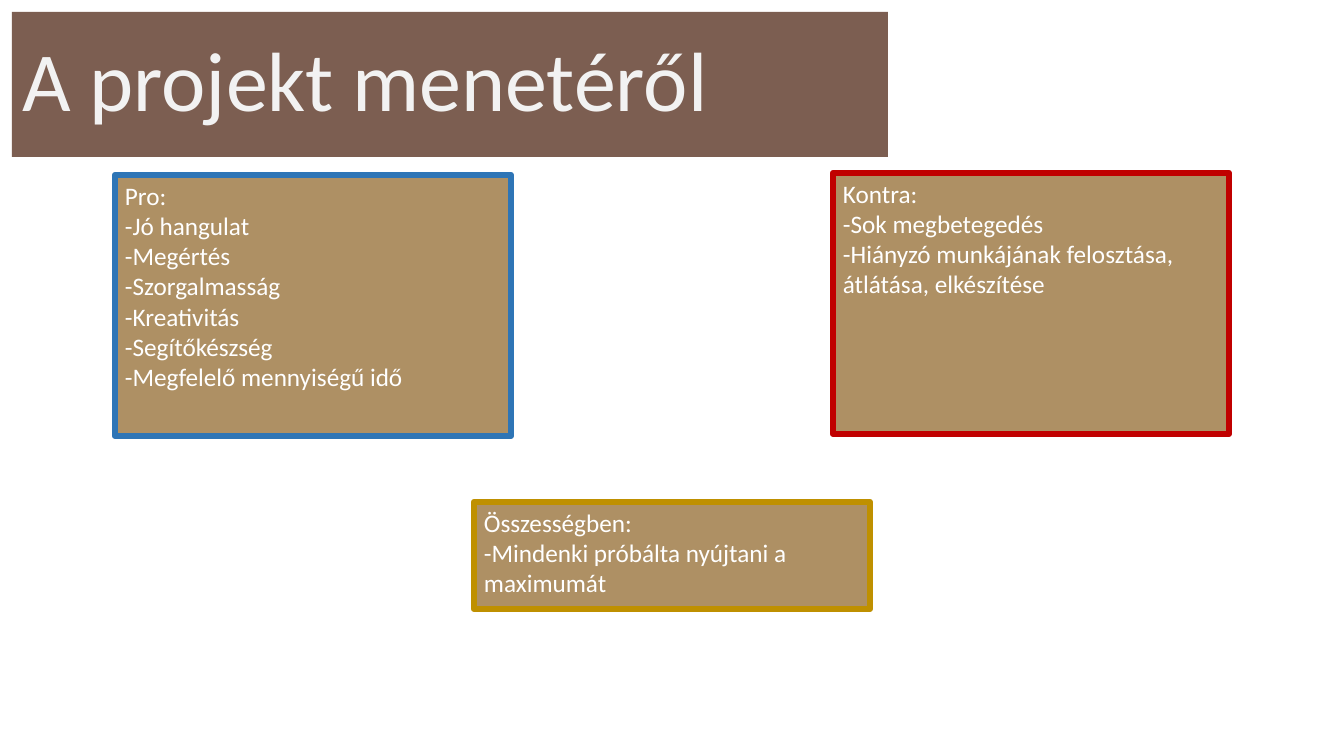
from lxml import etree
from pptx import Presentation
from pptx.dml.color import RGBColor
from pptx.enum.shapes import MSO_SHAPE
from pptx.enum.text import MSO_ANCHOR, MSO_AUTO_SIZE, PP_ALIGN
from pptx.oxml.ns import qn
from pptx.util import Pt

RECT = MSO_SHAPE.RECTANGLE
LEFT = PP_ALIGN.LEFT
TOP, MIDDLE = MSO_ANCHOR.TOP, MSO_ANCHOR.MIDDLE
NO_AUTOFIT = MSO_AUTO_SIZE.NONE
EMU_PER_PX = 914400 / 100.8
TITLE_ONLY = 5

COLORS = {
    "title_fill": "512917",
    "title_text": "F2F2F2",
    "box_fill": "936B31",
    "box_text": "FFFFFF",
    "pro": "2E75B6",
    "contra": "C00000",
    "summary": "BF9000",
}


def px(n):
    return round(n * EMU_PER_PX)


def rgb(name):
    return RGBColor.from_string(COLORS[name])


class SlideBuilder:
    font = "Calibri"
    opacity = 75

    def __init__(self, slide):
        self.slide = slide

    def fill(self, sp, color):
        sp.fill.solid()
        sp.fill.fore_color.rgb = rgb(color)
        clr = sp.element.spPr.find(qn("a:solidFill"))[0]
        etree.SubElement(clr, qn("a:alpha")).set("val", str(self.opacity * 1000))

    def add_text(self, sp, lines, size, color, anchor, spacing=1.0):
        tf = sp.text_frame
        tf.word_wrap = True
        tf.auto_size = NO_AUTOFIT
        tf.vertical_anchor = anchor
        for i, line in enumerate(lines):
            p = tf.add_paragraph() if i else tf.paragraphs[0]
            p.alignment = LEFT
            p.line_spacing = spacing
            r = p.add_run()
            r.text = line
            r.font.name = self.font
            r.font.size = Pt(size)
            r.font.color.rgb = rgb(color)

    def title(self, text, x, y, w, h):
        sp = self.slide.shapes.title
        sp.left, sp.top, sp.width, sp.height = map(px, (x, y, w, h))
        self.fill(sp, "title_fill")
        self.add_text(sp, [text], 60, "title_text", MIDDLE, 0.9)

    def box(self, lines, x, y, w, h, border):
        sp = self.slide.shapes.add_shape(RECT, *map(px, (x, y, w, h)))
        sp.shadow.inherit = False
        self.fill(sp, "box_fill")
        sp.line.color.rgb = rgb(border)
        sp.line.width = Pt(4.5)
        self.add_text(sp, lines, 18, "box_text", TOP)


def main():
    prs = Presentation()
    prs.slide_width, prs.slide_height = px(1344), px(756)
    s = SlideBuilder(prs.slides.add_slide(prs.slide_layouts[TITLE_ONLY]))

    # Title band
    s.title("A projekt menetéről", 12, 12, 876, 145)

    # Pros and cons
    box_w, box_h = 396, 261
    s.box(["Pro:", "-Jó hangulat", "-Megértés", "-Szorgalmasság", "-Kreativitás",
           "-Segítőkészség", "-Megfelelő mennyiségű idő"],
          115, 175, box_w, box_h, "pro")
    s.box(["Kontra:", "-Sok megbetegedés",
           "-Hiányzó munkájának felosztása, átlátása, elkészítése"],
          833, 173, box_w, box_h, "contra")

    # Summary
    s.box(["Összességben:", "-Mindenki próbálta nyújtani a maximumát"],
          474, 502, box_w, 107, "summary")

    prs.save("out.pptx")


if __name__ == "__main__":
    main()
